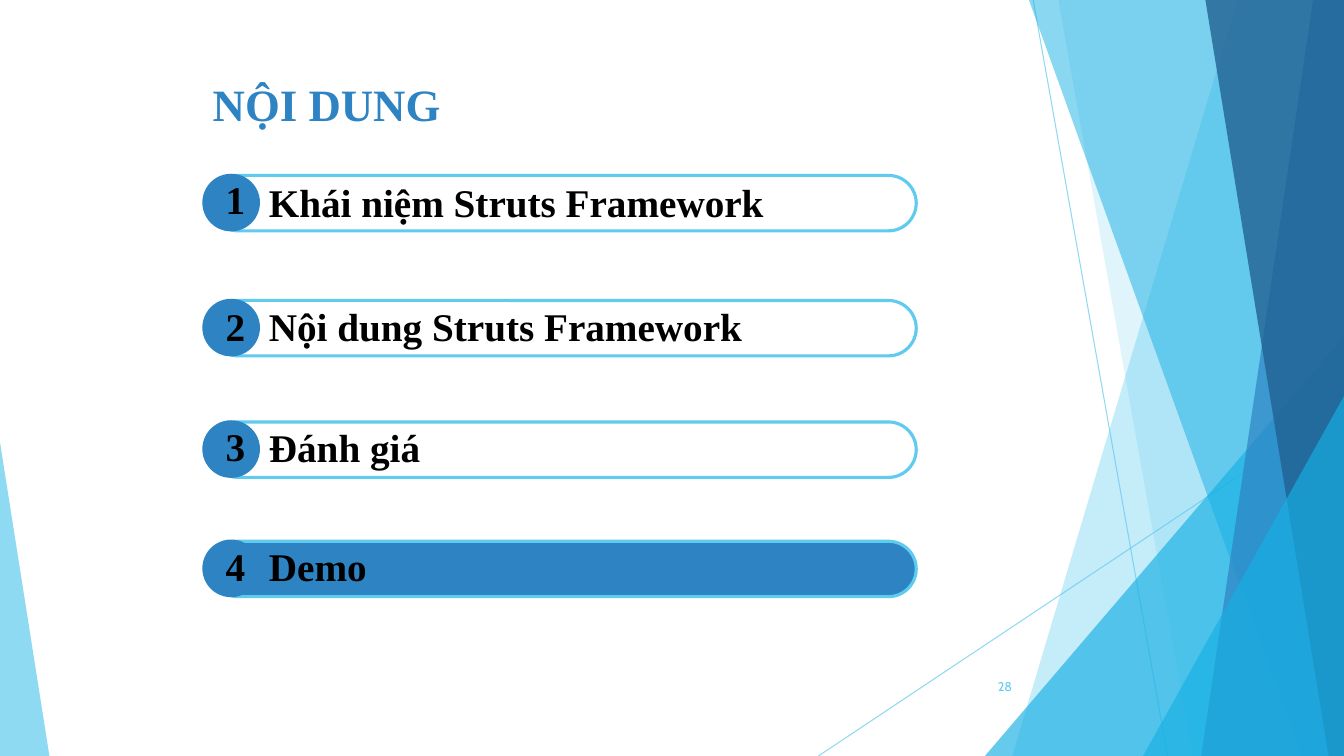
from dataclasses import dataclass

from lxml import etree
from pptx import Presentation
from pptx.dml.color import RGBColor
from pptx.enum.shapes import MSO_CONNECTOR, MSO_SHAPE as Preset
from pptx.enum.text import MSO_ANCHOR as Anchor, PP_ALIGN as Align
from pptx.oxml.ns import qn
from pptx.util import Pt


@dataclass(frozen=True)
class Theme:
    sky: str = "5FCBEF"
    cyan: str = "17B0E4"
    blue: str = "2E83C3"
    navy: str = "226292"
    black: str = "000000"
    serif: str = "Times New Roman"
    sans: str = "Cabin"
    title_size: int = 32
    item_size: int = 28
    page_size: int = 9


theme = Theme()


def paint(fill, color, opacity=100):
    """Set a solid colour with the given opacity in percent."""
    fill.solid()
    fill.fore_color.rgb = RGBColor.from_string(color)
    if opacity < 100:
        color_element = fill._xPr.find(qn("a:solidFill"))[0]
        etree.SubElement(color_element, qn("a:alpha"), val=str(opacity * 1000))


def write(shape, box, text, size, color, font=theme.serif, bold=True,
          align=Align.LEFT, anchor=Anchor.TOP):
    """Place a text shape at box and give it one formatted run."""
    shape.left, shape.top, shape.width, shape.height = map(Pt, box)
    frame = shape.text_frame
    frame.word_wrap = False
    frame.vertical_anchor = anchor
    paragraph = frame.paragraphs[0]
    paragraph.alignment = align
    run = paragraph.add_run()
    run.text = text
    run.font.name = font
    run.font.size = Pt(size)
    run.font.bold = bold
    run.font.color.rgb = RGBColor.from_string(color)


WIDTH, HEIGHT = 960, 540
presentation = Presentation()
presentation.slide_width, presentation.slide_height = Pt(WIDTH), Pt(HEIGHT)
slide = presentation.slides.add_slide(presentation.slide_layouts[5])
shapes = slide.shapes

# Thin rays behind the facets
for ends in ((738, 0, 834, HEIGHT), (WIDTH, 290, 584.6, HEIGHT)):
    ray = shapes.add_connector(MSO_CONNECTOR.STRAIGHT, *map(Pt, ends))
    ray.line.width = Pt(0.75)
    paint(ray.line.fill, theme.sky, 70)
    etree.SubElement(ray._element.spPr, qn("a:effectLst"))

# Facets: a pair is the left edge at top and bottom of a panel reaching the
# right side; a box with an apex position is a triangle
facets = [
    ((884, 723), theme.sky, 36),
    ((756, 852), theme.sky, 20),
    ((703.5, 240, 256.5, 300, 1), theme.cyan, 66),
    ((735, 929.5), theme.cyan, 50),
    ((938, 858), theme.blue, 70),
    ((861, 949), theme.navy, 80),
    ((816.5, 283, 143.5, 257, 1), theme.cyan, 66),
    ((0, 316, 35.3, 224, 0), theme.sky, 70),
]
for outline, color, opacity in facets:
    if len(outline) == 2:
        top_x, bottom_x = outline
        builder = shapes.build_freeform(Pt(top_x), 0)
        corners = ((WIDTH, 0), (WIDTH, HEIGHT), (bottom_x, HEIGHT))
        builder.add_line_segments([(Pt(x), Pt(y)) for x, y in corners])
        facet = builder.convert_to_shape()
    else:
        *box, apex = outline
        facet = shapes.add_shape(Preset.ISOSCELES_TRIANGLE, *map(Pt, box))
        facet.adjustments[0] = apex
    facet.shadow.inherit = False
    facet.line.fill.background()
    paint(facet.fill, color, opacity)

write(shapes.title, (144.7, 51, 189.4, 46), "NỘI DUNG", theme.title_size, theme.blue)

# Agenda: bar top, label top, number top, label
agenda = [
    (125.3, 123.8, 121.7, "Khái niệm Struts Framework"),
    (214.6, 212.4, 212.4, "Nội dung Struts Framework"),
    (301.4, 298.8, 298.1, "Đánh giá"),
    (386.6, 383.8, 383.8, "Demo"),
]
current = len(agenda)
for number, (bar_top, label_top, number_top, label) in enumerate(agenda, 1):
    bar = shapes.add_shape(Preset.ROUNDED_RECTANGLE, Pt(150.5), Pt(bar_top), Pt(504), Pt(39.6))
    bar.adjustments[0] = 0.5
    bar.shadow.inherit = False
    bar.line.width = Pt(2.25)
    paint(bar.line.fill, theme.sky)
    if number == current:
        paint(bar.fill, theme.blue)
    else:
        bar.fill.background()

    disc = shapes.add_shape(Preset.OVAL, Pt(144.5), Pt(bar_top - 1.2), Pt(41.2), Pt(41.2))
    disc.shadow.inherit = False
    disc.line.fill.background()
    paint(disc.fill, theme.blue)

    write(shapes.add_textbox(0, 0, 0, 0), (185, label_top, 400, 41.2),
          label, theme.item_size, theme.black)
    write(shapes.add_textbox(0, 0, 0, 0), (154, number_top, 22.3, 41.2),
          str(number), theme.item_size, theme.black, align=Align.CENTER)

write(shapes.add_textbox(0, 0, 0, 0), (676, 476, 54, 28.8), "28", theme.page_size,
      theme.sky, theme.sans, False, Align.RIGHT, Anchor.MIDDLE)

presentation.save("out.pptx")
